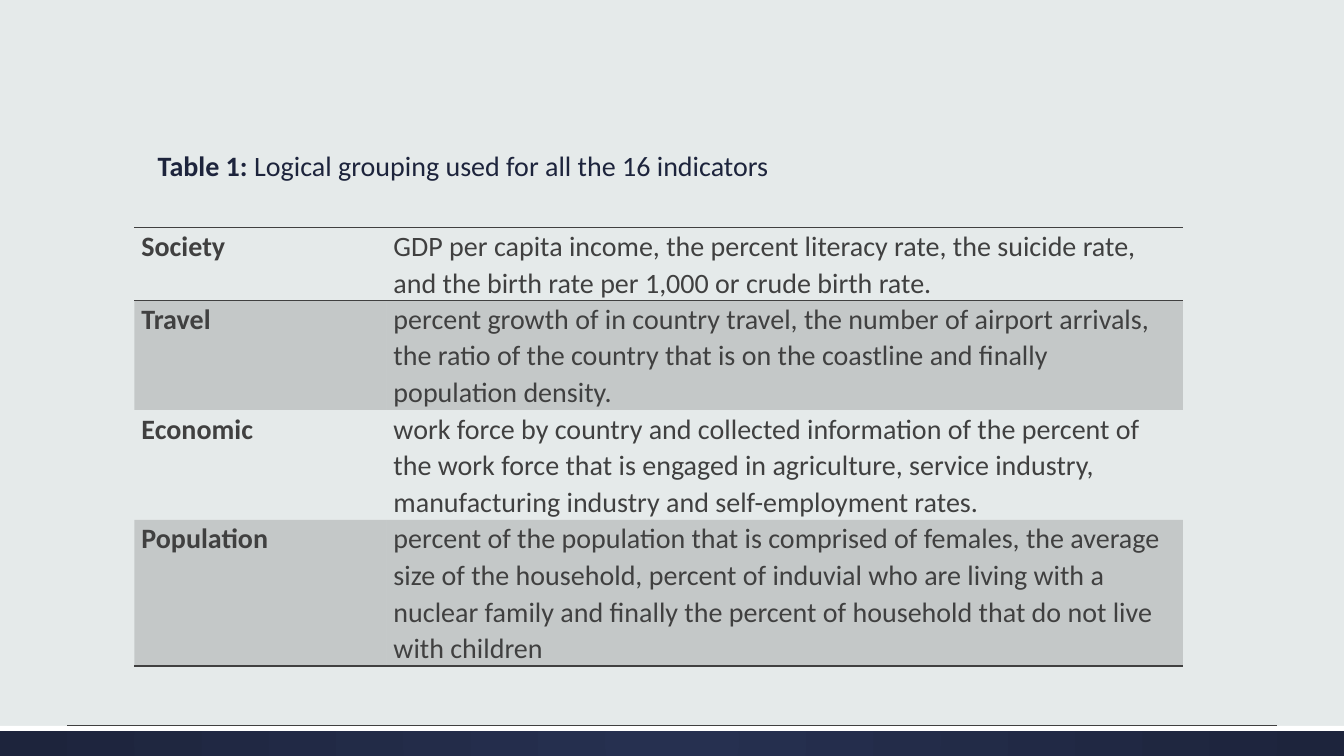
from lxml.etree import SubElement
from pptx import Presentation
from pptx.dml.color import RGBColor
from pptx.enum.shapes import MSO_CONNECTOR, MSO_SHAPE
from pptx.enum.text import MSO_ANCHOR
from pptx.oxml.ns import qn
from pptx.util import Inches, Pt

GROUPS = [
    ("Society", 0.72, "GDP per capita income, the percent literacy rate, the suicide rate, "
     "and the birth rate per 1,000 or crude birth rate."),
    ("Travel", 1.09, "percent growth of in country travel, the number of airport arrivals, "
     "the ratio of the country that is on the coastline and finally population density."),
    ("Economic", 1.09, "work force by country and collected information of the percent of "
     "the work force that is engaged in agriculture, service industry, manufacturing "
     "industry and self-employment rates."),
    ("Population", 1.45, "percent of the population that is comprised of females, the average "
     "size of the household, percent of induvial who are living with a nuclear family and "
     "finally the percent of household that do not live with children"),
]


def color(value):
    return RGBColor.from_string(value)


class IndicatorSlide:
    """Draws styled elements, placed by shares of the slide size."""

    FONT, SIZE = "Calibri", Pt(20)
    NAVY, INDIGO, GRAY, WHITE, PAPER = "1D243C", "263050", "404040", "FFFFFF", "E5EAEA"
    PLAIN_TABLE = "{2D5ABB26-0587-4C30-8999-92F81FD0307C}"

    def __init__(self, presentation):
        self.width = presentation.slide_width
        self.height = presentation.slide_height
        self.slide = presentation.slides.add_slide(presentation.slide_layouts[6])
        background = self.slide.background.fill
        background.solid()
        background.fore_color.rgb = color(self.PAPER)

    def place(self, left, top, width, height):
        return (round(left * self.width), round(top * self.height),
                round(width * self.width), round(height * self.height))

    def add_text(self, paragraph, text, fill, bold=False):
        run = paragraph.add_run()
        run.text = text
        run.font.name, run.font.size, run.font.bold = self.FONT, self.SIZE, bold
        run.font.color.rgb = color(fill)

    def band(self, top, height, center, edge):
        shape = self.slide.shapes.add_shape(MSO_SHAPE.RECTANGLE, *self.place(0, top, 1, height))
        shape.shadow.inherit = False
        shape.line.fill.background()
        if center == edge:
            shape.fill.solid()
            shape.fill.fore_color.rgb = color(center)
            return
        shape.fill.gradient()
        for stop, value in zip(shape.fill.gradient_stops, (center, edge)):
            stop.color.rgb = color(value)
        gradient = shape._element.spPr.find(qn("a:gradFill"))
        gradient.remove(gradient.find(qn("a:lin")))
        circle = SubElement(gradient, qn("a:path"), {"path": "circle"})
        SubElement(circle, qn("a:fillToRect"), {side: "50000" for side in "ltrb"})

    def rule(self, left, right, top):
        x1, y, x2, _ = self.place(left, top, right, 0)
        line = self.slide.shapes.add_connector(MSO_CONNECTOR.STRAIGHT, x1, y, x2, y)
        line.line.color.rgb = color(self.GRAY)
        line.line.width = Pt(0.75)
        SubElement(line._element.spPr, qn("a:effectLst"))

    def caption(self, label, text, *box):
        frame = self.slide.shapes.add_textbox(*self.place(*box)).text_frame
        frame.word_wrap = True
        frame.vertical_anchor = MSO_ANCHOR.BOTTOM
        paragraph = frame.paragraphs[0]
        paragraph.line_spacing = 0.9
        self.add_text(paragraph, label, self.NAVY, bold=True)
        self.add_text(paragraph, text, self.NAVY)

    def border(self, cell, side):
        line = SubElement(cell._tc.get_or_add_tcPr(), qn(f"a:ln{side}"), {"w": str(Pt(1))})
        fill = SubElement(line, qn("a:solidFill"))
        SubElement(fill, qn("a:srgbClr"), {"val": self.GRAY})

    def shade(self, cell, visible):
        if not visible:
            cell.fill.background()
            return
        cell.fill.solid()
        cell.fill.fore_color.rgb = color(self.GRAY)
        tint = cell._tc.tcPr.find(qn("a:solidFill")).find(qn("a:srgbClr"))
        SubElement(tint, qn("a:alpha"), {"val": "20000"})

    def cell(self, cell, text, bold, sides, shaded):
        cell.margin_left = cell.margin_right = Inches(0.07)
        cell.margin_top = cell.margin_bottom = 0
        paragraph = cell.text_frame.paragraphs[0]
        paragraph.line_spacing = 1.07
        self.add_text(paragraph, text, self.GRAY, bold)
        for side in sides:
            self.border(cell, side)
        self.shade(cell, shaded)

    def table(self, groups, *box):
        frame = self.slide.shapes.add_table(len(groups), 2, *self.place(*box))
        table = frame.table
        table.first_row = table.horz_banding = False
        table._tbl.tblPr.find(qn("a:tableStyleId")).text = self.PLAIN_TABLE
        for column, width in zip(table.columns, (2.5, 7.9)):
            column.width = Inches(width)
        borders = {0: "TB", len(groups) - 1: "B"}
        for index, (name, height, indicators) in enumerate(groups):
            table.rows[index].height = Inches(height)
            for column, text in enumerate((name, indicators)):
                self.cell(table.cell(index, column), text, column == 0,
                          borders.get(index, ""), index % 2 == 1)


def main():
    presentation = Presentation()
    presentation.slide_width, presentation.slide_height = Inches(13.33), Inches(7.5)
    page = IndicatorSlide(presentation)
    page.band(0.96, 0.04, page.INDIGO, page.NAVY)
    page.band(0.96, 0.007, page.WHITE, page.WHITE)
    page.rule(0.05, 0.95, 0.96)
    page.caption("Table 1: ", "Logical grouping used for all the 16 indicators",
                 0.11, 0.068, 0.78, 0.18)
    page.table(GROUPS, 0.1, 0.301, 0.78, 0.58)
    presentation.save("out.pptx")


if __name__ == "__main__":
    main()
